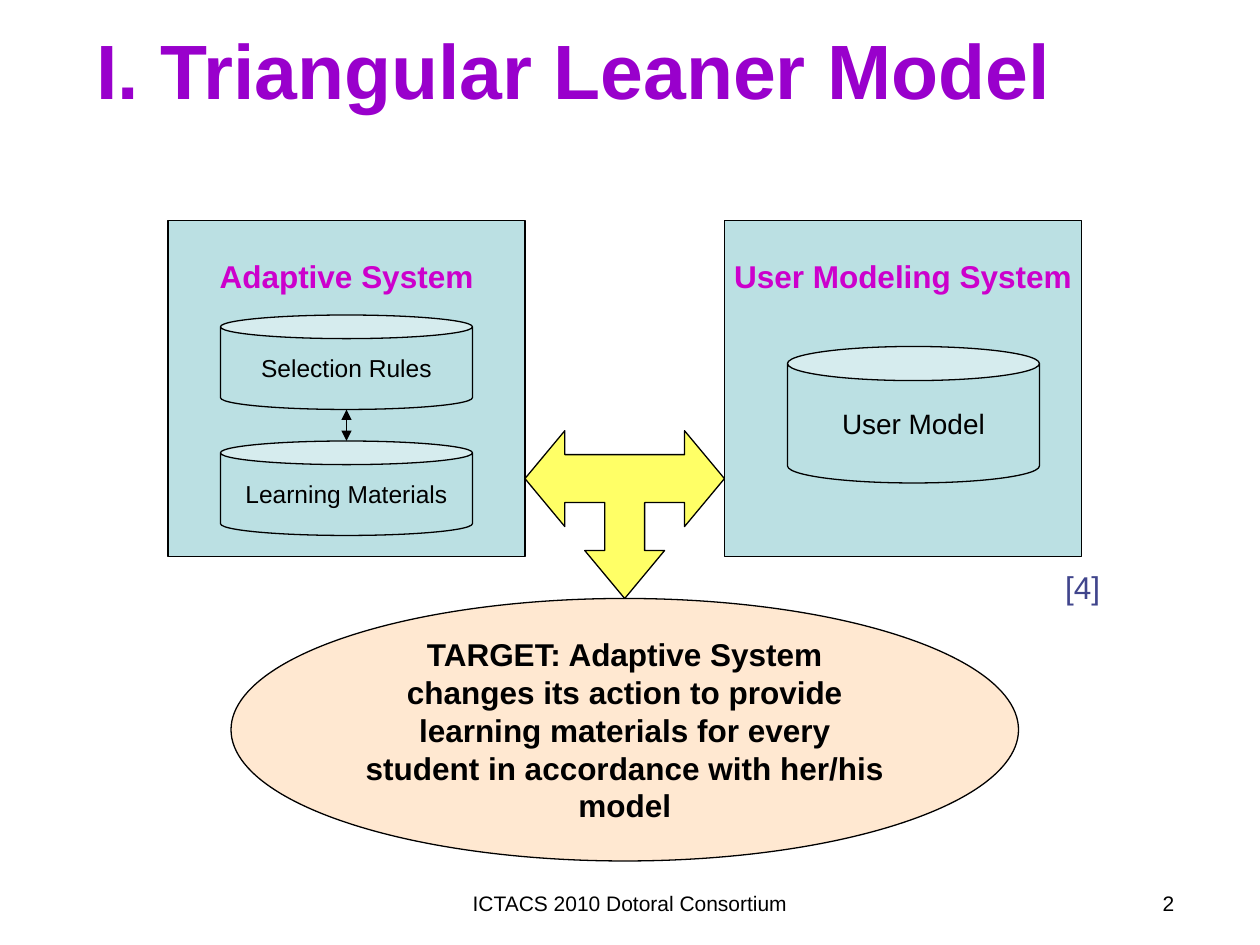
from dataclasses import dataclass

from lxml import etree
from pptx import Presentation
from pptx import util as u
from pptx.dml.color import RGBColor
from pptx.enum import shapes, text
from pptx.oxml import ns


@dataclass(frozen=True)
class Theme:
    font: str = "Arial"
    ink: str = "000000"
    title: str = "9900CC"
    heading: str = "CC00CC"
    citation: str = "40458C"
    system: str = "BBE0E3"
    target: str = "FFE8D1"
    arrow: str = "FFFF66"
    title_size: float = 44
    large: float = 18
    medium: float = 16
    small: float = 14
    footer: float = 12
    line: float = 0.75


THEME = Theme()
SHAPE = shapes.MSO_SHAPE
ALIGN = text.PP_ALIGN
ANCHOR = text.MSO_ANCHOR


def points(values):
    return [u.Pt(value) for value in values]


def set_values(target, values):
    for name, value in values.items():
        setattr(target, name, value)


def write(box, words, size, color=THEME.ink, bold=False, align=ALIGN.CENTER, **frame):
    set_values(box.text_frame, {"word_wrap": True, "vertical_anchor": ANCHOR.MIDDLE, **frame})
    para = box.text_frame.paragraphs[0]
    para.alignment = align
    span = para.add_run()
    span.text = words
    set_values(span.font, {"name": THEME.font, "size": u.Pt(size), "bold": bold})
    span.font.color.rgb = RGBColor.from_string(color)


def paint(shape, fill):
    shape.shadow.inherit = False
    shape.fill.solid()
    shape.fill.fore_color.rgb = RGBColor.from_string(fill)
    outline(shape)


def outline(item):
    item.line.color.rgb = RGBColor.from_string(THEME.ink)
    item.line.width = u.Pt(THEME.line)


def add_label(page, bounds, words, size, **style):
    box = page.shapes.add_textbox(*points(bounds))
    write(box, words, size, **style)


def add_node(page, kind, bounds, fill, words, size, **style):
    node = page.shapes.add_shape(kind, *points(bounds))
    paint(node, fill)
    write(node, words, size, **style)
    return node


def add_system(page, left, words):
    add_node(page, SHAPE.RECTANGLE, (left, 126, 204, 192), THEME.system, words, THEME.large,
             color=THEME.heading, bold=True, word_wrap=False,
             vertical_anchor=ANCHOR.TOP, margin_top=u.Pt(21))


def add_store(page, bounds, words, size):
    store = add_node(page, SHAPE.CAN, bounds, THEME.system, words, size, word_wrap=False)
    store.adjustments[0] = 0.25


def add_three_way_arrow(page, center, bottom):
    half = [(22.8, 27.4), (11.4, 27.4), (11.4, 54.8), (34.2, 54.8), (34.2, 41.1),
            (57, 68.5), (34.2, 95.9), (34.2, 82.2)]
    right = [(center + x, bottom - y) for x, y in half]
    left = [(center - x, bottom - y) for x, y in reversed(half)]
    builder = page.shapes.build_freeform(*points((center, bottom)))
    builder.add_line_segments([points(corner) for corner in right + left], close=True)
    paint(builder.convert_to_shape(), THEME.arrow)


def add_double_arrow(page, start, end):
    link = page.shapes.add_connector(shapes.MSO_CONNECTOR.STRAIGHT, *points(start + end))
    outline(link)
    properties = link._element.spPr
    line = properties.find(ns.qn("a:ln"))
    for name in ("a:headEnd", "a:tailEnd"):
        etree.SubElement(line, ns.qn(name), type="triangle")
    etree.SubElement(properties, ns.qn("a:effectLst"))


def main():
    deck = Presentation()
    set_values(deck, {"slide_width": u.Pt(720), "slide_height": u.Pt(540)})
    page = deck.slides.add_slide(deck.slide_layouts[6])

    add_label(page, (48, 6, 642, 66), "I. Triangular Leaner Model", THEME.title_size,
              color=THEME.title, bold=True, align=ALIGN.LEFT)

    add_system(page, 96, "Adaptive System")
    add_system(page, 414, "User Modeling System")
    for top, words in ((180, "Selection Rules"), (252, "Learning Materials")):
        add_store(page, (126, top, 144, 54), words, THEME.small)
    add_store(page, (450, 198, 144, 78), "User Model", THEME.medium)
    add_double_arrow(page, (198, 234), (198, 252))

    add_three_way_arrow(page, 357, 342)
    add_node(page, SHAPE.OVAL, (132, 342, 450, 150), THEME.target,
             "TARGET: Adaptive System changes its action to provide learning materials "
             "for every student in accordance with her/his model", THEME.large, bold=True)

    add_label(page, (601.5, 321, 35, 29), "[4]", THEME.large, color=THEME.citation,
              align=ALIGN.LEFT, word_wrap=False, vertical_anchor=ANCHOR.TOP)
    add_label(page, (246, 505.5, 228, 37.5), "ICTACS 2010 Dotoral Consortium", THEME.footer,
              vertical_anchor=ANCHOR.TOP)
    add_label(page, (510, 505.5, 168, 37.5), "2", THEME.footer, align=ALIGN.RIGHT,
              vertical_anchor=ANCHOR.TOP)

    deck.save("out.pptx")


if __name__ == "__main__":
    main()
